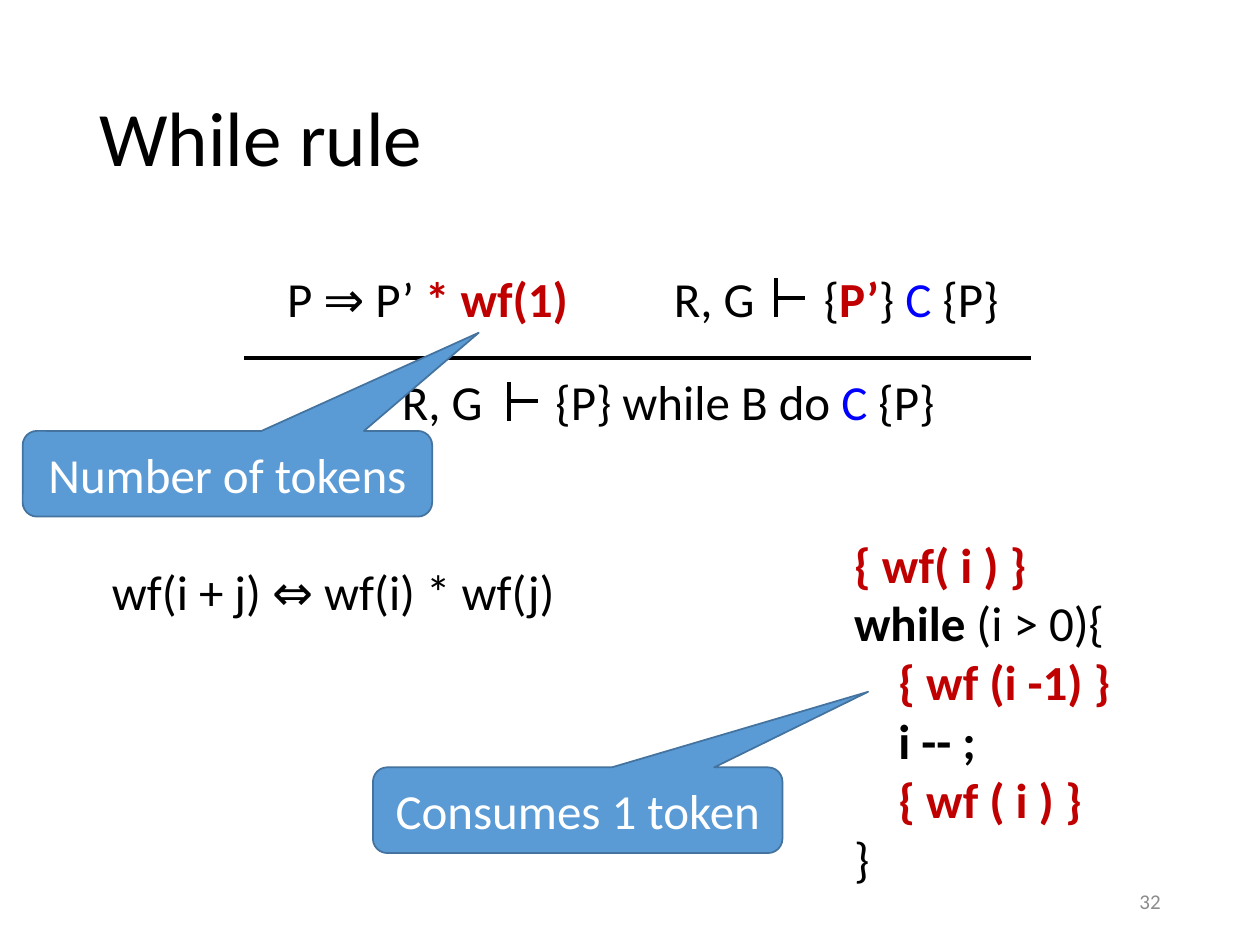
from dataclasses import dataclass
from lxml.etree import SubElement
from pptx import Presentation
from pptx.dml.color import RGBColor
from pptx.enum.shapes import MSO_CONNECTOR as Connector, MSO_SHAPE as Shape
from pptx.enum.text import MSO_ANCHOR as Anchor, PP_ALIGN as Align
from pptx.oxml.ns import qn
from pptx.util import Inches, Pt


@dataclass(frozen=True)
class Theme:
    font: str = "Calibri"
    black: str = "000000"
    red: str = "C00000"
    blue: str = "0000FF"
    white: str = "FFFFFF"
    grey: str = "8C8C8C"
    callout_fill: str = "5B9BD5"
    callout_line: str = "43739E"
    title_size: int = 44
    body_size: int = 28
    number_size: int = 12
    callout_line_width: float = 1
    bar_width: float = 2.25
    turnstile_width: float = 2.5


THEME = Theme()
PLAIN = (THEME.black, False)
BOLD = (THEME.black, True)
RED = (THEME.red, True)
BLUE = (THEME.blue, False)

# Each run is (text, (colour, bold)); each paragraph is a list of runs.
TITLE = [[("While rule", PLAIN)]]
NUMBER = [[("32", (THEME.grey, False))]]
CONTEXT = [[("R, G", PLAIN)]]
IMPLICATION = [[("P ⇒ P’ ", PLAIN), ("* wf(1)", RED)]]
BODY_TRIPLE = [[("{", PLAIN), ("P’", RED), ("} ", PLAIN), ("C", BLUE), (" {P}", PLAIN)]]
WHILE_TRIPLE = [[("{P} while B do ", PLAIN), ("C ", BLUE), ("{P}", PLAIN)]]
SPLIT_RULE = [[("wf(i + j) ⇔ wf(i) * wf(j)", PLAIN)]]
CODE = [
    [("{ wf( i ) }", RED)],
    [("while", BOLD), (" (i > 0){", PLAIN)],
    [("    ", BOLD), ("{ wf (i -1) }", RED)],
    [("    ", PLAIN), ("i -- ;", BOLD)],
    [("    ", PLAIN), ("{ wf ( i ) }", RED)],
    [("}", PLAIN)],
]

PREMISE_TOP, CONCLUSION_TOP, LINE_HEIGHT = 2.08, 2.9, 0.57
FORMULAS = [  # paragraphs, left, top, width, height
    (BODY_TRIPLE, 6.44, PREMISE_TOP, 1.85, LINE_HEIGHT),
    (CONTEXT, 5.25, PREMISE_TOP, 0.96, LINE_HEIGHT),
    (IMPLICATION, 2.18, PREMISE_TOP, 2.49, LINE_HEIGHT),
    (WHILE_TRIPLE, 4.31, CONCLUSION_TOP, 3.27, LINE_HEIGHT),
    (CONTEXT, 3.09, CONCLUSION_TOP, 0.99, LINE_HEIGHT),
    (SPLIT_RULE, 0.79, 4.41, 4.07, LINE_HEIGHT),
    (CODE, 6.68, 4.19, 2.41, 2.93),
]
TURNSTILES = [(6.16, PREMISE_TOP), (4.04, CONCLUSION_TOP)]  # left, row top
TURNSTILE_OFFSET, TURNSTILE_HEIGHT, TURNSTILE_ARM = 0.13, 0.31, 0.23
INFERENCE_BAR = (1.94, 2.84, 8.18, 2.84)
CALLOUT_SIZE = (3.25, 0.68)
CALLOUTS = [  # text, left, top, pointer tip
    ("Number of tokens", 0.18, 3.42, (3.8, 2.64)),
    ("Consumes 1 token", 2.96, 6.09, (6.89, 5.49)),
]


def rgb(colour):
    return RGBColor.from_string(colour)


def fill_text(frame, paragraphs, size, align=Align.LEFT, anchor=Anchor.TOP):
    frame.word_wrap = True
    frame.vertical_anchor = anchor
    for index, runs in enumerate(paragraphs):
        paragraph = frame.add_paragraph() if index else frame.paragraphs[0]
        paragraph.alignment = align
        paragraph.font.name = THEME.font
        paragraph.font.size = Pt(size)
        for text, (colour, bold) in runs:
            run = paragraph.add_run()
            run.text = text
            run.font.bold = bold
            run.font.color.rgb = rgb(colour)


def add_text(slide, paragraphs, box, size=THEME.body_size, **layout):
    shape = slide.shapes.add_textbox(*map(Inches, box))
    fill_text(shape.text_frame, paragraphs, size, **layout)
    return shape


def add_line(shapes, ends, width):
    line = shapes.add_connector(Connector.STRAIGHT, *map(Inches, ends))
    line.line.color.rgb = rgb(THEME.black)
    line.line.width = Pt(width)
    SubElement(line._element.spPr, qn("a:effectLst"))


def add_turnstile(slide, left, row_top):
    top = row_top + TURNSTILE_OFFSET
    middle = top + TURNSTILE_HEIGHT / 2
    group = slide.shapes.add_group_shape()
    for ends in (
        (left, top, left, top + TURNSTILE_HEIGHT),
        (left, middle, left + TURNSTILE_ARM, middle),
    ):
        add_line(group.shapes, ends, THEME.turnstile_width)


def add_callout(slide, text, left, top, tip):
    width, height = CALLOUT_SIZE
    shape = slide.shapes.add_shape(
        Shape.ROUNDED_RECTANGULAR_CALLOUT, *map(Inches, (left, top, width, height))
    )
    # The pointer is measured from the centre as a share of the body size.
    shape.adjustments[0] = (tip[0] - left) / width - 0.5
    shape.adjustments[1] = (tip[1] - top) / height - 0.5
    shape.shadow.inherit = False
    shape.fill.solid()
    shape.fill.fore_color.rgb = rgb(THEME.callout_fill)
    shape.line.color.rgb = rgb(THEME.callout_line)
    shape.line.width = Pt(THEME.callout_line_width)
    fill_text(shape.text_frame, [[(text, (THEME.white, False))]], THEME.body_size,
              align=Align.CENTER, anchor=Anchor.MIDDLE)


def main():
    presentation = Presentation()
    presentation.slide_width, presentation.slide_height = Inches(10), Inches(7.5)
    slide = presentation.slides.add_slide(presentation.slide_layouts[6])

    title = add_text(slide, TITLE, (0.69, 0.4, 8.62, 1.45), THEME.title_size,
                     anchor=Anchor.MIDDLE)
    title.text_frame.paragraphs[0].line_spacing = 0.9
    add_text(slide, NUMBER, (7.06, 6.95, 2.25, 0.4), THEME.number_size,
             align=Align.RIGHT, anchor=Anchor.MIDDLE)
    for paragraphs, *box in FORMULAS:
        add_text(slide, paragraphs, box)
    for left, row_top in TURNSTILES:
        add_turnstile(slide, left, row_top)
    add_line(slide.shapes, INFERENCE_BAR, THEME.bar_width)
    for callout in CALLOUTS:
        add_callout(slide, *callout)

    presentation.save("out.pptx")


if __name__ == "__main__":
    main()
